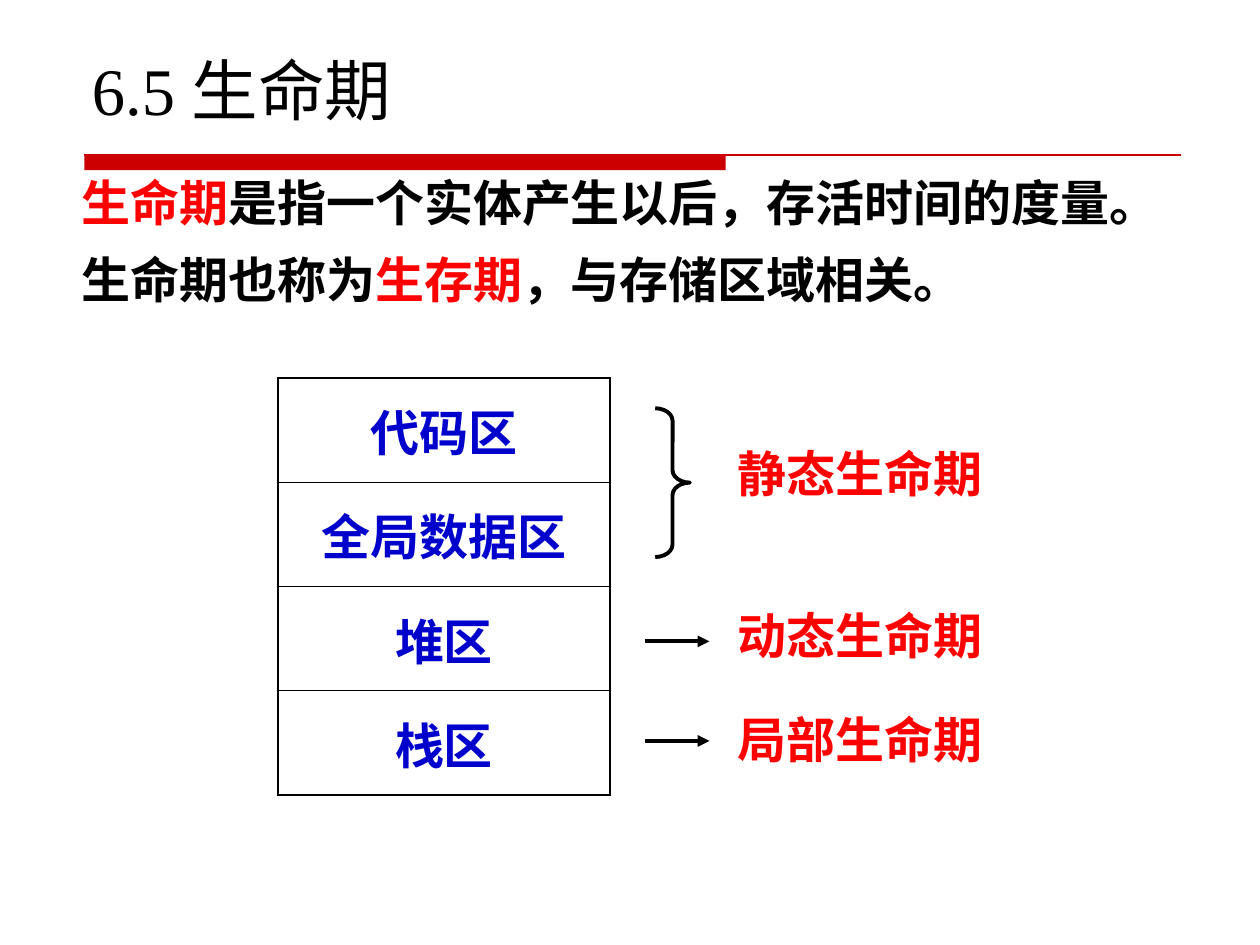
from lxml import etree
from pptx import Presentation
from pptx import util as u
from pptx.dml.color import RGBColor
from pptx.enum import shapes, text
from pptx.oxml.ns import qn

Pt = u.Pt
BLACK = RGBColor(0, 0, 0)
RED = RGBColor(0xFF, 0, 0)
BLUE = RGBColor(0, 0, 0xCC)
RULE_RED = RGBColor(0xCC, 0, 0)
FONT = "Times New Roman"


def style_run(r, color, size=28, bold=True):
    r.font.name = FONT
    r.font.size = Pt(size)
    r.font.bold = bold
    r.font.color.rgb = color


def add_text(s, x, y, w, h, paragraphs, size=28, bold=True,
             anchor=text.MSO_ANCHOR.TOP, line_spacing=1.0, gap=0):
    tf = s.shapes.add_textbox(Pt(x), Pt(y), Pt(w), Pt(h)).text_frame
    tf.word_wrap = True
    tf.vertical_anchor = anchor
    for i, runs in enumerate(paragraphs):
        p = tf.add_paragraph() if i else tf.paragraphs[0]
        p.line_spacing = line_spacing
        p.space_before = Pt(gap if i else 0)
        for content, color in runs:
            r = p.add_run()
            r.text = content
            style_run(r, color, size, bold)


def add_line(s, x1, x2, y, color, width, arrow=False):
    c = s.shapes.add_connector(shapes.MSO_CONNECTOR.STRAIGHT,
                               Pt(x1), Pt(y), Pt(x2), Pt(y))
    c.line.color.rgb = color
    c.line.width = Pt(width)
    if arrow:
        etree.SubElement(c.line._get_or_add_ln(), qn("a:tailEnd"),
                         type="triangle")
    etree.SubElement(c._element.spPr, qn("a:effectLst"))


def add_title_rule(s, x, y):
    sp = s.shapes.add_shape(shapes.MSO_SHAPE.RECTANGLE,
                            Pt(x), Pt(y), Pt(366.5), Pt(8.64))
    sp.shadow.inherit = False
    sp.fill.solid()
    sp.fill.fore_color.rgb = RULE_RED
    sp.line.fill.background()
    add_line(s, x, 674.6, y, RULE_RED, 0.75)


def add_brace(s, x, y, w, h):
    sp = s.shapes.add_shape(shapes.MSO_SHAPE.RIGHT_BRACE,
                            Pt(x), Pt(y), Pt(w), Pt(h))
    sp.adjustments[0] = 0.36
    sp.shadow.inherit = False
    sp.fill.background()
    sp.line.color.rgb = BLACK
    sp.line.width = Pt(2.25)


def set_borders(cell, widths):
    tcPr = cell._tc.get_or_add_tcPr()
    for i, (side, width) in enumerate(widths.items()):
        ln = etree.Element(qn("a:ln" + side), w=str(Pt(width)))
        fill = etree.SubElement(ln, qn("a:solidFill"))
        etree.SubElement(fill, qn("a:srgbClr"), val=str(BLACK))
        tcPr.insert(i, ln)


def add_memory_table(s, x, y, w, row_height, labels):
    n = len(labels)
    table = s.shapes.add_table(n, 1, Pt(x), Pt(y), Pt(w),
                               Pt(row_height * n)).table
    table.first_row = table.horz_banding = False
    for i, label in enumerate(labels):
        table.rows[i].height = Pt(row_height)
        cell = table.cell(i, 0)
        cell.fill.background()
        cell.vertical_anchor = text.MSO_ANCHOR.MIDDLE
        cell.text_frame.text = label
        p = cell.text_frame.paragraphs[0]
        p.alignment = text.PP_ALIGN.CENTER
        style_run(p.runs[0], BLUE)
        set_borders(cell, {"L": 1.08, "R": 1.08,
                           "T": 0.45 if i else 1.08,
                           "B": 0.45 if i < n - 1 else 1.08})


def main():
    prs = Presentation()
    prs.slide_width, prs.slide_height = Pt(720), Pt(540)
    s = prs.slides.add_slide(prs.slide_layouts[6])

    add_title_rule(s, 48.2, 88.6)
    add_text(s, 45.4, 23.8, 630, 53.3, [[("6.5 生命期", BLACK)]],
             size=38, bold=False, anchor=text.MSO_ANCHOR.BOTTOM)
    add_text(s, 39.6, 88.6, 658, 91.4, [
        [("生命期", RED), ("是指一个实体产生以后，存活时间的度量。", BLACK)],
        [("生命期也称为", BLACK), ("生存期", RED),
         ("，与存储区域相关。", BLACK)],
    ], line_spacing=1.2, gap=3.5)

    add_memory_table(s, 158.7, 216, 190, 59.6,
                     ["代码区", "全局数据区", "堆区", "栈区"])
    add_brace(s, 374.4, 233.3, 19.8, 85)
    for y in (366.5, 423.4):
        add_line(s, 368.6, 405.4, y, BLACK, 2.25, arrow=True)
    for label, y in (("静态生命期", 249.8), ("动态生命期", 342.7),
                     ("局部生命期", 401.8)):
        add_text(s, 414.4, y, 190, 41, [[(label, RED)]])

    prs.save("out.pptx")


if __name__ == "__main__":
    main()
